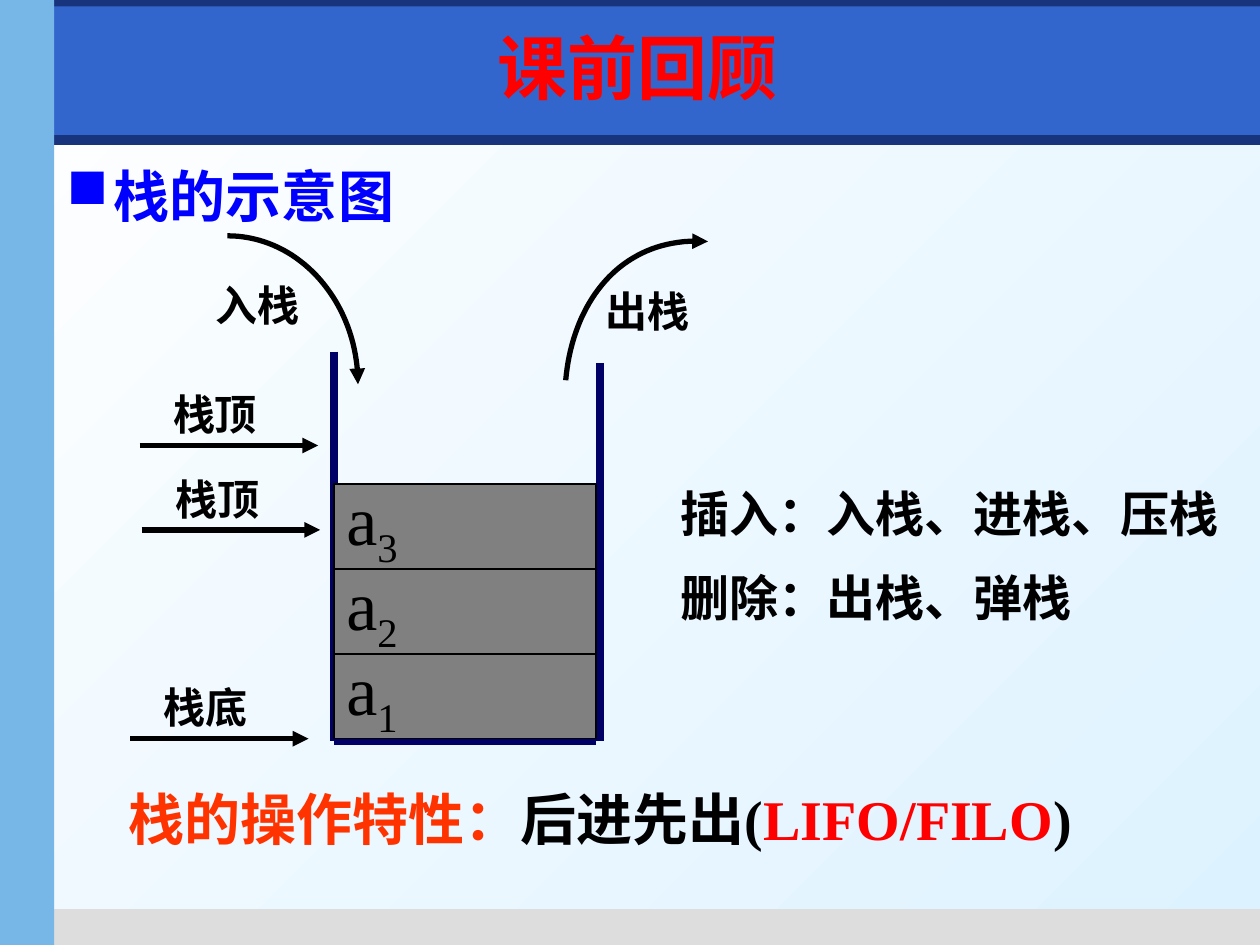
from typing import NamedTuple

from lxml import etree
from pptx import Presentation
from pptx.dml.color import RGBColor
from pptx.enum.shapes import MSO_CONNECTOR, MSO_SHAPE
from pptx.enum.text import MSO_ANCHOR, PP_ALIGN
from pptx.oxml.ns import qn
from pptx.util import Pt

RECTANGLE = MSO_SHAPE.RECTANGLE
STRAIGHT = MSO_CONNECTOR.STRAIGHT
TOP, MIDDLE = MSO_ANCHOR.TOP, MSO_ANCHOR.MIDDLE
LEFT, CENTER = PP_ALIGN.LEFT, PP_ALIGN.CENTER

BLACK = RGBColor(0, 0, 0)
WHITE = RGBColor(255, 255, 255)
RED = RGBColor(255, 0, 0)
ORANGE = RGBColor(0xFF, 0x33, 0x00)
BLUE = RGBColor(0, 0, 255)
NAVY = RGBColor(0x17, 0x34, 0x7D)
BANNER_BLUE = RGBColor(0x33, 0x66, 0xCC)
SKY = RGBColor(0x77, 0xB7, 0xE7)
PALE_SKY = RGBColor(0xDD, 0xF2, 0xFF)
FOOTER_GRAY = RGBColor(0xDD, 0xDD, 0xDD)
CELL_GRAY = RGBColor(0x80, 0x80, 0x80)
WALL = RGBColor(0, 0, 0x66)
SERIF, SANS = "Times New Roman", "Arial"


class Point(NamedTuple):
    """A place on the page, in points."""
    x: float
    y: float


class Area(NamedTuple):
    """A rectangle on the page, in points."""
    left: float
    top: float
    width: float
    height: float


class Span(NamedTuple):
    """A piece of text in one colour."""
    text: str
    color: RGBColor = BLACK


class Band(NamedTuple):
    """A plain strip of the page frame."""
    area: Area
    color: RGBColor


class Pointer(NamedTuple):
    """A labelled arrow that points at the stack."""
    label: str
    start: Point


class Curve(NamedTuple):
    """A cubic curve with its arrowhead at the end."""
    start: Point
    control_1: Point
    control_2: Point
    end: Point


BANDS = [
    Band(Area(3, 77, 717, 5.8), NAVY),
    Band(Area(25, 519.6, 695, 20.4), FOOTER_GRAY),
    Band(Area(3, 0, 717, 15), NAVY),
    Band(Area(31, 3.6, 689, 73.5), BANNER_BLUE),
    Band(Area(0, 0, 31, 540), SKY),
]
STACK_LEFT, STACK_RIGHT, STACK_BOTTOM = 190.8, 342.7, 423.4
WALLS = [
    (Point(STACK_LEFT, 201), Point(STACK_LEFT, STACK_BOTTOM)),
    (Point(STACK_LEFT, STACK_BOTTOM), Point(340.6, STACK_BOTTOM)),
    (Point(STACK_RIGHT, 207.3), Point(STACK_RIGHT, STACK_BOTTOM)),
]
CELL_TOP, CELL_WIDTH, CELL_HEIGHT, CELL_PITCH = 276.6, 149.8, 48.2, 48.55
POINTERS = [
    Pointer("栈底", Point(74.3, 422.1)),
    Pointer("栈顶", Point(79.8, 254.6)),
    Pointer("栈顶", Point(81, 302.8)),
]
POINTER_LENGTH = 102
CURVES = [
    Curve(Point(130, 134.8), Point(171.4, 134.8), Point(204.6, 173), Point(204.6, 219.6)),
    Curve(Point(323.3, 217.3), Point(327.6, 170), Point(357, 134.6), Point(404.6, 138)),
]


def add_text(page, area, paragraphs, size, font=SERIF, anchor=TOP, align=LEFT):
    """Add a bold text box and return its text frame."""
    frame = page.shapes.add_textbox(*map(Pt, area)).text_frame
    frame.word_wrap = True
    frame.vertical_anchor = anchor
    for index, spans in enumerate(paragraphs):
        para = frame.add_paragraph() if index else frame.paragraphs[0]
        para.alignment = align
        para.font.size, para.font.name, para.font.bold = Pt(size), font, True
        if index:
            para.space_before = Pt(size / 2)
        for span in spans:
            run = para.add_run()
            run.text = span.text
            run.font.color.rgb = span.color
    return frame


def add_box(page, area: Area, color: RGBColor):
    """Add a filled rectangle without outline."""
    box = page.shapes.add_shape(RECTANGLE, *map(Pt, area))
    box.shadow.inherit = False
    box.fill.solid()
    box.fill.fore_color.rgb = color
    box.line.fill.background()
    return box


def add_arrowhead(line) -> None:
    """Put a triangle at the end of a line."""
    etree.SubElement(line._get_or_add_ln(), qn("a:tailEnd"), type="triangle")


def add_line(page, start: Point, end: Point, color: RGBColor, width: float):
    """Add a straight line without shadow."""
    connector = page.shapes.add_connector(STRAIGHT, *map(Pt, (*start, *end)))
    connector.line.color.rgb = color
    connector.line.width = Pt(width)
    etree.SubElement(connector._element.spPr, qn("a:effectLst"))
    return connector


def add_cell(page, index: int) -> None:
    """Add one stack element, counted from the top."""
    top = CELL_TOP + index * CELL_PITCH
    cell = add_box(page, Area(STACK_LEFT, top, CELL_WIDTH, CELL_HEIGHT), CELL_GRAY)
    cell.line.color.rgb = BLACK
    cell.line.width = Pt(0.75)
    frame = cell.text_frame
    frame.vertical_anchor = MIDDLE
    frame.margin_top, frame.margin_bottom = Pt(0), Pt(3.6)
    para = frame.paragraphs[0]
    para.alignment = LEFT
    para.font.size, para.font.name, para.font.color.rgb = Pt(40), SERIF, BLACK
    para.add_run().text = "a"
    subscript = para.add_run()
    subscript.text = str(3 - index)
    subscript._r.get_or_add_rPr().set("baseline", "-25000")


def add_pointer(page, pointer: Pointer) -> None:
    """Add an arrow with its label above."""
    x, y = pointer.start
    arrow = add_line(page, pointer.start, Point(x + POINTER_LENGTH, y), BLACK, 3)
    add_arrowhead(arrow.line)
    add_text(page, Area(x + 12, y - 36, 72, 36), [[Span(pointer.label)]], 24)


def add_curve(page, curve: Curve, steps: int = 40) -> None:
    """Add a curved arrow drawn through points of a cubic curve."""
    points = []
    for step in range(steps + 1):
        t = step / steps
        weights = ((1 - t) ** 3, 3 * t * (1 - t) ** 2, 3 * t * t * (1 - t), t ** 3)
        points.append(tuple(
            Pt(sum(weight * value for weight, value in zip(weights, values)))
            for values in zip(*curve)))
    builder = page.shapes.build_freeform(*points[0])
    builder.add_line_segments(points[1:], close=False)
    arc = builder.convert_to_shape()
    arc.shadow.inherit = False
    arc.fill.background()
    arc.line.color.rgb = BLACK
    arc.line.width = Pt(3)
    add_arrowhead(arc.line)


def add_heading(page) -> None:
    """Add the heading with its square bullet."""
    frame = add_text(page, Area(31, 88.6, 675, 50), [[Span("栈的示意图", BLUE)]], 32, SANS)
    properties = frame.paragraphs[0]._p.get_or_add_pPr()
    properties.set("marL", str(Pt(27)))
    properties.set("indent", str(-Pt(27)))
    bullet = etree.Element(qn("a:buChar"), char="■")
    color = etree.Element(qn("a:buClr"))
    etree.SubElement(color, qn("a:srgbClr"), val=str(BLUE))
    properties.insert(0, color)
    properties.insert(1, bullet)


def main() -> None:
    """Build the slide and save it."""
    deck = Presentation()
    deck.slide_width, deck.slide_height = Pt(720), Pt(540)
    page = deck.slides.add_slide(deck.slide_layouts[6])
    fill = page.background.fill
    fill.gradient()
    fill.gradient_angle = 315
    for stop, color in zip(fill.gradient_stops, (WHITE, PALE_SKY)):
        stop.color.rgb = color
    for band in BANDS:
        add_box(page, band.area, band.color)
    add_heading(page)
    add_text(page, Area(66.2, 445, 566, 46), [[
        Span("栈的操作特性:".replace(":", "："), ORANGE), Span("后进先出("),
        Span("LIFO/FILO", RED), Span(")")]], 32)
    for start, end in WALLS:
        add_line(page, start, end, WALL, 4.5)
    for index in reversed(range(3)):
        add_cell(page, index)
    for curve in CURVES:
        add_curve(page, curve)
    add_text(page, Area(116, 156.2, 70.6, 36), [[Span("入栈")]], 24)
    add_text(page, Area(339, 159.8, 66.2, 36), [[Span("出栈")]], 24)
    for pointer in POINTERS:
        add_pointer(page, pointer)
    add_text(page, Area(381.6, 272.9, 324.7, 91.4), [
        [Span("插入：入栈、进栈、压栈")], [Span("删除：出栈、弹栈")]], 28)
    add_text(page, Area(218.9, 0, 290.9, 75.6), [[Span("课前回顾", RED)]],
             40, SANS, MIDDLE, CENTER)
    deck.save("out.pptx")


main()
